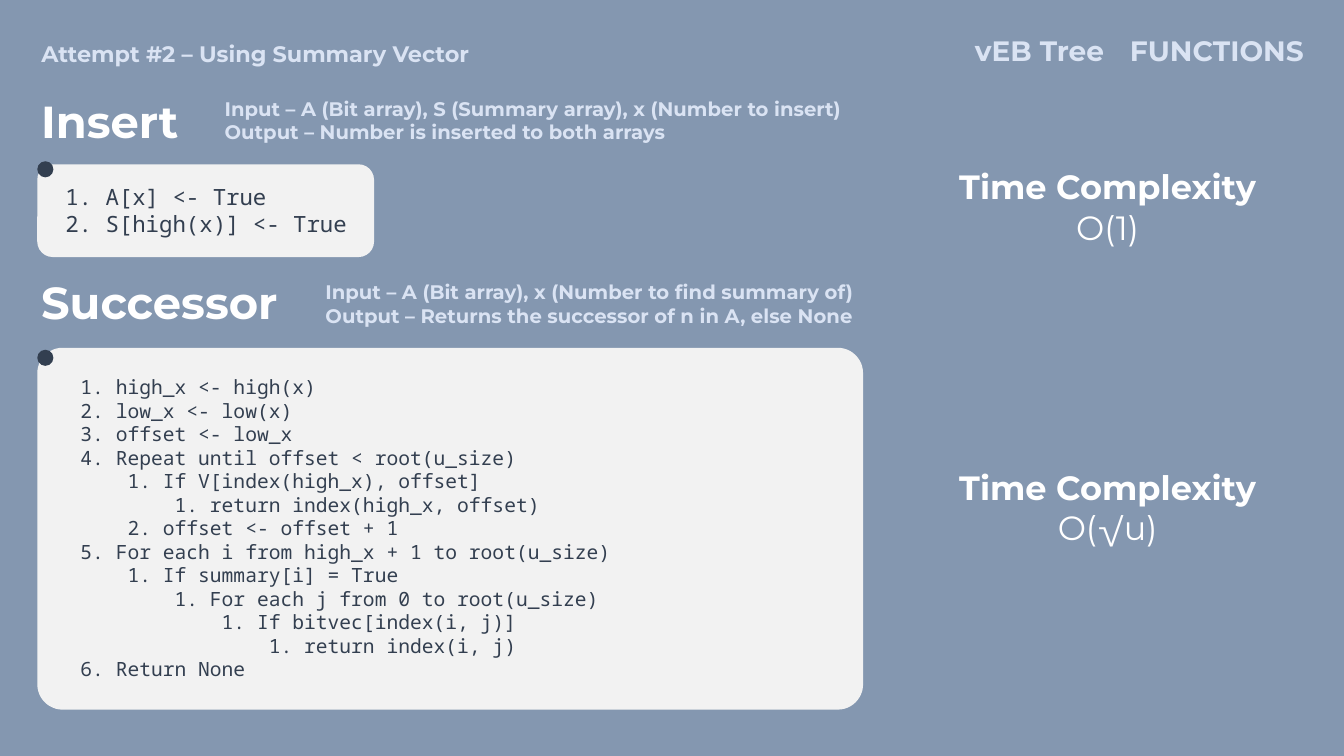
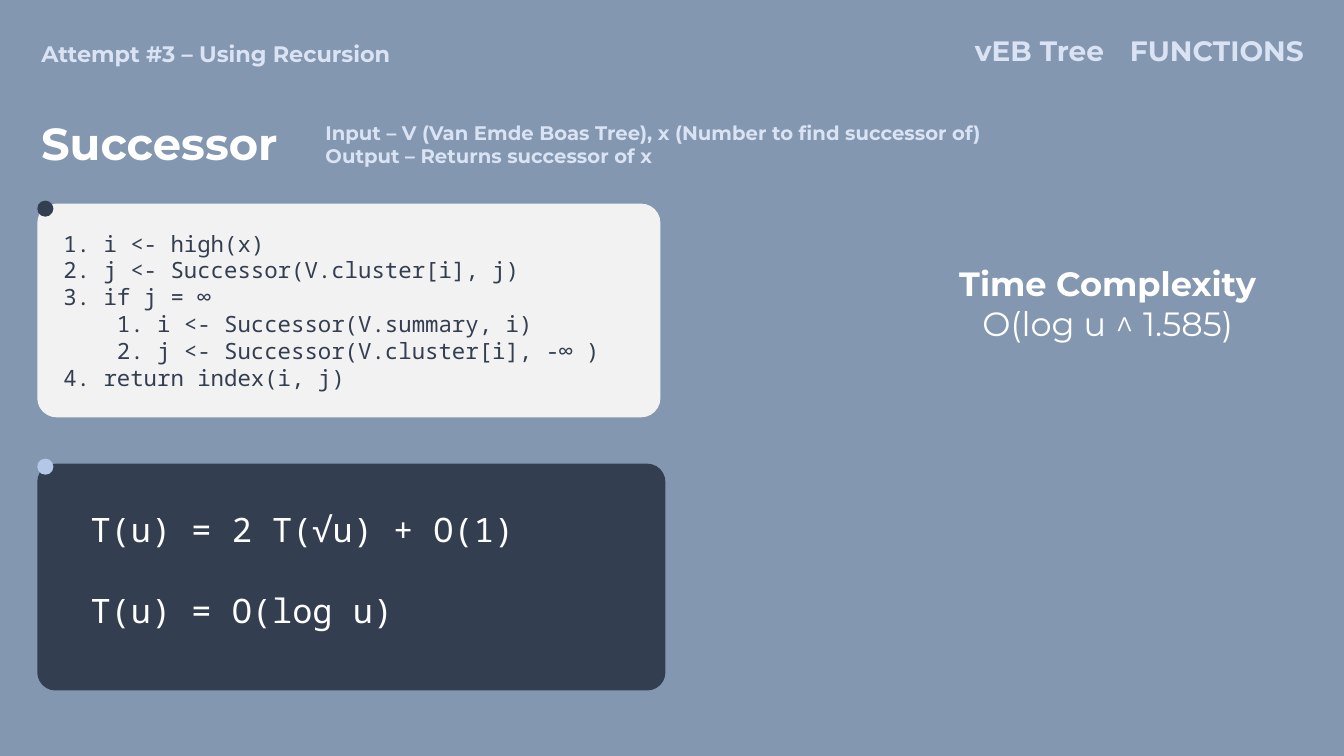
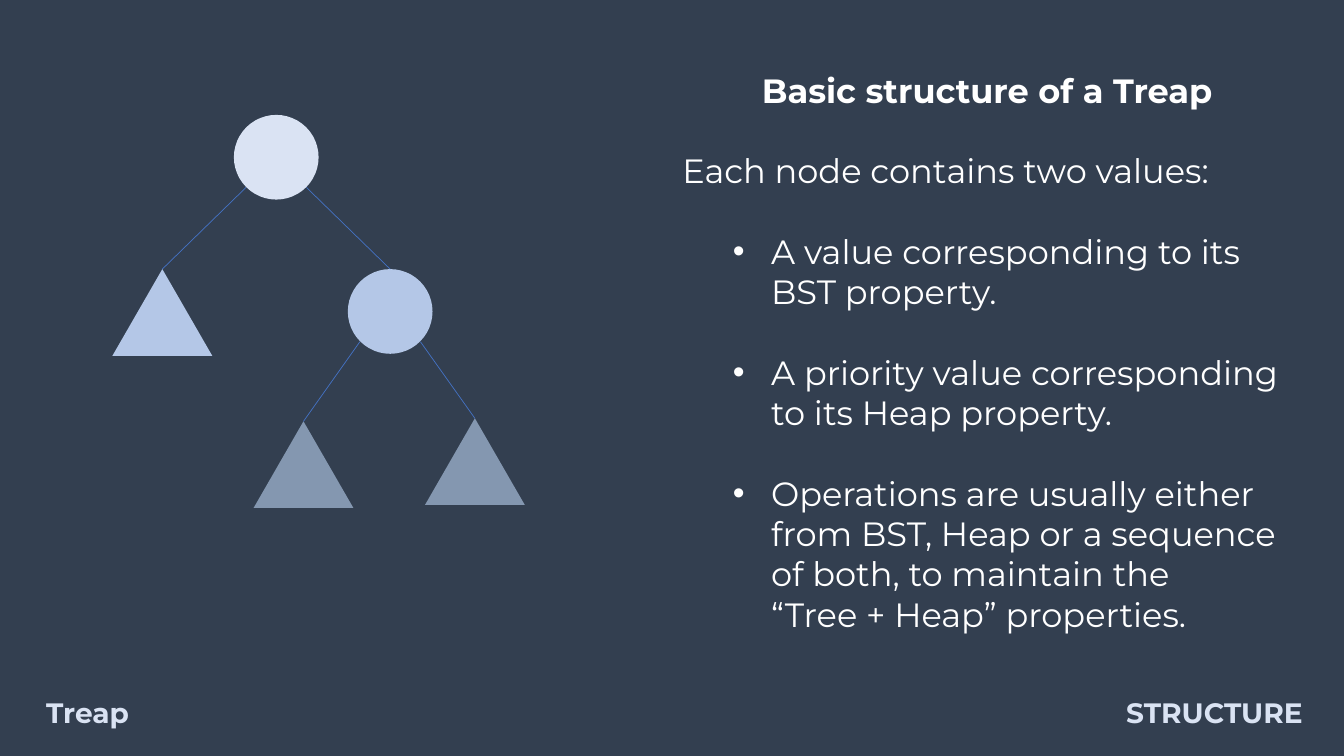
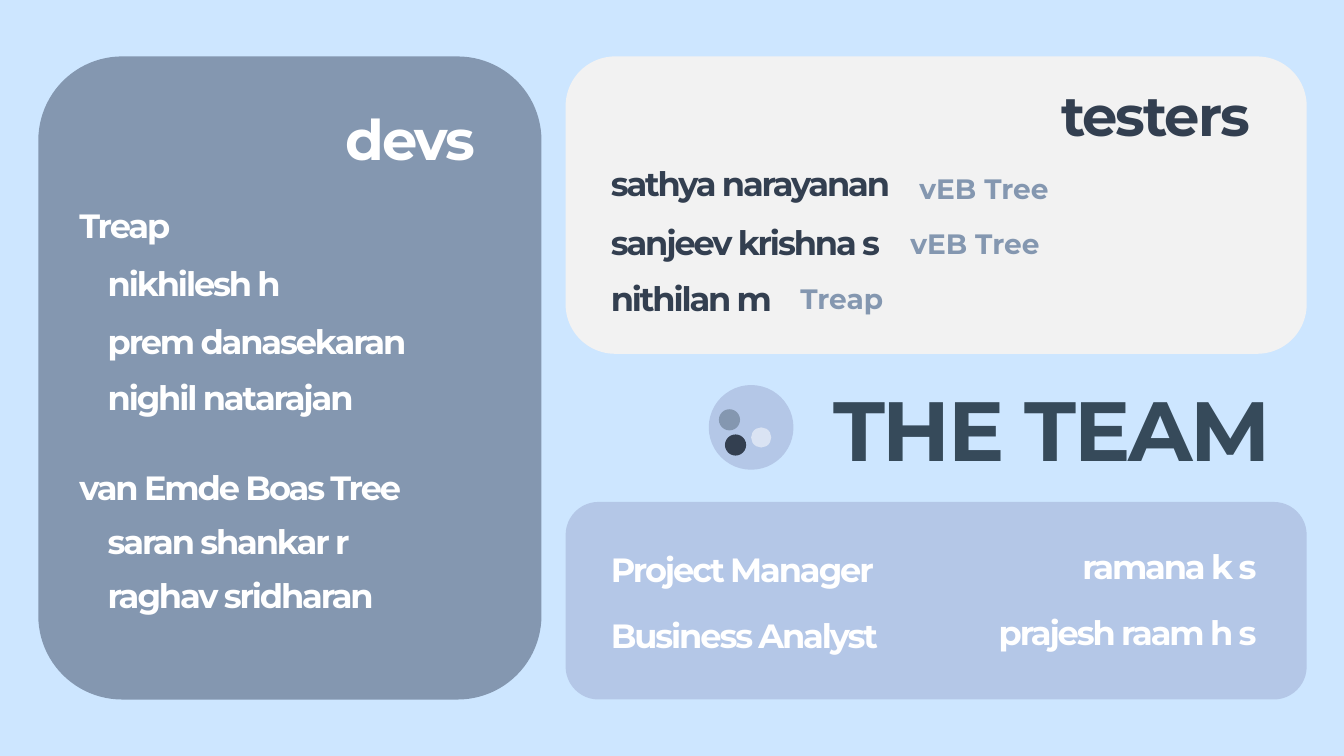
from lxml import etree
from pptx import Presentation
from pptx.dml.color import RGBColor
from pptx.enum.shapes import MSO_CONNECTOR, MSO_SHAPE
from pptx.enum.text import MSO_ANCHOR, MSO_AUTO_SIZE, PP_ALIGN
from pptx.oxml.ns import qn
from pptx.util import Emu, Pt

SANS, MONO = "Montserrat", "Noto Sans Mono"
NAVY, SLATE, PERIWINKLE, PALE = "333F50", "8497B0", "B4C7E7", "DAE3F3"
WHITE, PAPER, SKY, INK, EDGE = "FFFFFF", "F2F2F2", "CDE6FF", "364A5A", "4472C4"
LEFT, CENTER, RIGHT = PP_ALIGN.LEFT, PP_ALIGN.CENTER, PP_ALIGN.RIGHT
BLANK_LINE = 28.8
NODE, LEAF_W, LEAF_H = 84, 99, 86


def px(n):
    return Emu(round(n * 9144))


def rgb(value):
    return RGBColor.from_string(value)


def write(tf, lines, size, color, bold=True, font=SANS, align=LEFT, spacing=0, gap=0):
    tf.word_wrap = True
    tf.vertical_anchor = MSO_ANCHOR.TOP
    tf.auto_size = MSO_AUTO_SIZE.NONE
    for i, line in enumerate(lines):
        p = tf.add_paragraph() if i else tf.paragraphs[0]
        p.text = line
        p.alignment = align
        if i and gap:
            p.space_before = Pt(gap)
        for r in p.runs:
            r.font.name = font
            r.font.size = Pt(size)
            r.font.bold = bold
            r.font.color.rgb = rgb(color)
            if spacing:
                r._r.get_or_add_rPr().set("spc", str(spacing))


def text(s, x, y, w, h, lines, size, color, **style):
    sp = s.shapes.add_textbox(px(x), px(y), px(w), px(h))
    write(sp.text_frame, lines, size, color, **style)
    return sp.text_frame


def title(s, x, y, w, h, words, size, color, **style):
    sp = s.shapes.title
    sp.left, sp.top, sp.width, sp.height = px(x), px(y), px(w), px(h)
    write(sp.text_frame, [words], size, color, **style)


def shape(s, kind, x, y, w, h, color):
    sp = s.shapes.add_shape(kind, px(x), px(y), px(w), px(h))
    sp.shadow.inherit = False
    sp.fill.solid()
    sp.fill.fore_color.rgb = rgb(color)
    sp.line.fill.background()
    return sp


def circle(s, x, y, d, color):
    return shape(s, MSO_SHAPE.OVAL, x, y, d, d, color)


def card(s, x, y, w, h, color, radius=None):
    sp = shape(s, MSO_SHAPE.ROUNDED_RECTANGLE, x, y, w, h, color)
    if radius:
        sp.adjustments[0] = radius


def pinned_card(s, y, w, h, color, pin_y, pin_color, radius=None):
    card(s, 37, y, w, h, color, radius)
    circle(s, 37, pin_y, 16, pin_color)


def code(s, x, y, w, h, lines, size, color=NAVY, gap=0):
    text(s, x, y, w, h, lines, size, color, bold=False, font=MONO, gap=gap)


def new_slide(prs, color):
    s = prs.slides.add_slide(prs.slide_layouts[5])
    s.background.fill.solid()
    s.background.fill.fore_color.rgb = rgb(color)
    return s


def functions_slide(prs, attempt):
    s = new_slide(prs, SLATE)
    title(s, 31, 35, 468, 37, attempt, 16, PALE)
    text(s, 957, 28, 149, 44, ["vEB Tree"], 20, PALE)
    text(s, 1101, 28, 202, 44, ["FUNCTIONS"], 20, PALE, align=RIGHT)
    return s


def operation(s, y, name, note_x, note_y, note):
    text(s, 31, y, 373, 64, [name], 32, WHITE)
    text(s, note_x, note_y, 747, 57, note, 14, PALE)


def complexity(s, y, order):
    tf = text(s, 894, y, 409, 91, ["Time Complexity", order], 24, WHITE, align=CENTER)
    tf.paragraphs[1].runs[0].font.bold = False


def leaf(s, cx, y, color):
    return shape(s, MSO_SHAPE.ISOSCELES_TRIANGLE, cx - LEAF_W / 2, y, LEAF_W, LEAF_H, color)


def tree_edge(s, cx, cy, side, child):
    start_x, start_y = cx + 30 * side, cy + 30
    c = s.shapes.add_connector(MSO_CONNECTOR.STRAIGHT, px(start_x), px(start_y),
                               px(start_x), px(start_y))
    c.end_connect(child, 0)
    c.line.color.rgb = rgb(EDGE)
    c.line.width = Pt(0.5)
    etree.SubElement(c._element.spPr, qn("a:effectLst"))


def bullet(p):
    pPr = p._p.get_or_add_pPr()
    pPr.set("lvl", "1")
    pPr.set("marL", str(px(88)))
    pPr.set("indent", str(px(-38)))
    etree.SubElement(pPr, qn("a:buFont")).set("typeface", "Arial")
    etree.SubElement(pPr, qn("a:buChar")).set("char", "•")


def summary_vector_slide(prs):
    s = functions_slide(prs, "Attempt #2 – Using Summary Vector")
    operation(s, 88, "Insert", 213, 91, [
        "Input – A (Bit array), S (Summary array), x (Number to insert)",
        "Output – Number is inserted to both arrays"])
    complexity(s, 160, "O(1)")
    operation(s, 268, "Successor", 313, 273, [
        "Input – A (Bit array), x (Number to find summary of)",
        "Output – Returns the successor of n in A, else None"])
    complexity(s, 458, "O(√u)")
    pinned_card(s, 163, 334, 92, PAPER, 160, NAVY)
    pinned_card(s, 345, 819, 359, PAPER, 347, NAVY, 0.07)
    code(s, 55, 177, 316, 64, ["1. A[x] <- True", "2. S[high(x)] <- True"], 16)
    code(s, 70, 367, 647, 316, [
        "1. high_x <- high(x)",
        "2. low_x <- low(x)",
        "3. offset <- low_x",
        "4. Repeat until offset < root(u_size)",
        "    1. If V[index(high_x), offset]",
        "        1. return index(high_x, offset)",
        "    2. offset <- offset + 1",
        "5. For each i from high_x + 1 to root(u_size)",
        "    1. If summary[i] = True",
        "        1. For each j from 0 to root(u_size)",
        "            1. If bitvec[index(i, j)]",
        "                1. return index(i, j)",
        "6. Return None"], 14)


def recursion_slide(prs):
    s = functions_slide(prs, "Attempt #3 – Using Recursion")
    operation(s, 110, "Successor", 313, 115, [
        "Input – V (Van Emde Boas Tree), x (Number to find successor of)",
        "Output – Returns successor of x"])
    complexity(s, 256, "O(log u ^ 1.585)")
    pinned_card(s, 202, 618, 212, PAPER, 199, NAVY, 0.09)
    code(s, 53, 223, 570, 172, [
        "1. i <- high(x)",
        "2. j <- Successor(V.cluster[i], j)",
        "3. if j = ∞",
        "    1. i <- Successor(V.summary, i)",
        "    2. j <- Successor(V.cluster[i], -∞ )",
        "4. return index(i, j)"], 16)
    pinned_card(s, 460, 623, 225, NAVY, 455, PERIWINKLE, 0.08)
    code(s, 80, 500, 537, 131, ["T(u) = 2 T(√u) + O(1)", "T(u) = O(log u)"],
         24, WHITE, gap=BLANK_LINE)


def treap_slide(prs):
    s = new_slide(prs, NAVY)
    title(s, 667, 64, 624, 50, "Basic structure of a Treap", 24, WHITE, align=CENTER)
    text(s, 36, 685, 149, 44, ["Treap"], 20, PALE)
    text(s, 1030, 685, 272, 44, ["STRUCTURE"], 20, PALE, align=RIGHT)

    circle(s, 232, 114, NODE, PALE)
    child = circle(s, 345, 267, NODE, PERIWINKLE)
    outer = leaf(s, 161, 267, PERIWINKLE)
    inner_left = leaf(s, 301, 418, SLATE)
    inner_right = leaf(s, 471, 415, SLATE)
    for cx, cy, left, right in ((274, 156, outer, child),
                                (387, 309, inner_left, inner_right)):
        tree_edge(s, cx, cy, -1, left)
        tree_edge(s, cx, cy, 1, right)

    tf = text(s, 667, 144, 624, 496, [
        "Each node contains two values:",
        "A value corresponding to its BST property.",
        "A priority value corresponding to its Heap property.",
        "Operations are usually either from BST, Heap or a sequence of both, "
        "to maintain the \v“Tree + Heap” properties."],
        24, WHITE, bold=False, gap=BLANK_LINE)
    for p in tf.paragraphs[1:]:
        bullet(p)


def team_slide(prs):
    s = new_slide(prs, SKY)
    card(s, 561, 56, 735, 295, PAPER)
    card(s, 38, 56, 499, 638, SLATE)
    card(s, 561, 498, 735, 196, PERIWINKLE)
    title(s, 791, 369, 505, 111, "THE TEAM", 60, INK, align=CENTER, spacing=-150)

    for x, y, group, color in ((333, 99, "devs", WHITE), (1043, 75, "testers", NAVY)):
        text(s, x, y, 238, 77, [group], 40, color, spacing=-150)

    for x, y, name, color, align in (
            (69, 198, "Treap", WHITE, LEFT),
            (97, 256, "nikhilesh h", WHITE, LEFT),
            (97, 313, "prem danasekaran", WHITE, LEFT),
            (97, 369, "nighil natarajan", WHITE, LEFT),
            (69, 458, "van Emde Boas Tree", WHITE, LEFT),
            (97, 512, "saran shankar r", WHITE, LEFT),
            (97, 565, "raghav sridharan", WHITE, LEFT),
            (596, 157, "sathya narayanan", NAVY, LEFT),
            (596, 215, "sanjeev krishna s", NAVY, LEFT),
            (596, 271, "nithilan m", NAVY, LEFT),
            (596, 540, "Project Manager", WHITE, LEFT),
            (596, 605, "Business Analyst", WHITE, LEFT),
            (876, 537, "ramana k s", WHITE, RIGHT),
            (876, 602, "prajesh raam h s", WHITE, RIGHT)):
        text(s, x, y, 380, 50, [name], 24, color, align=align, spacing=-150)

    for x, y, topic in ((902, 165, "vEB Tree"), (893, 220, "vEB Tree"), (784, 274, "Treap")):
        text(s, x, y, 184, 44, [topic], 20, SLATE)

    for x, y, d, color in ((703, 382, NODE, PERIWINKLE), (713, 406, 21, SLATE),
                           (745, 424, 20, PALE), (719, 431, 21, NAVY)):
        circle(s, x, y, d, color)


def main():
    prs = Presentation()
    prs.slide_width, prs.slide_height = px(1333), px(750)
    summary_vector_slide(prs)
    recursion_slide(prs)
    treap_slide(prs)
    team_slide(prs)
    prs.save("out.pptx")


if __name__ == "__main__":
    main()
